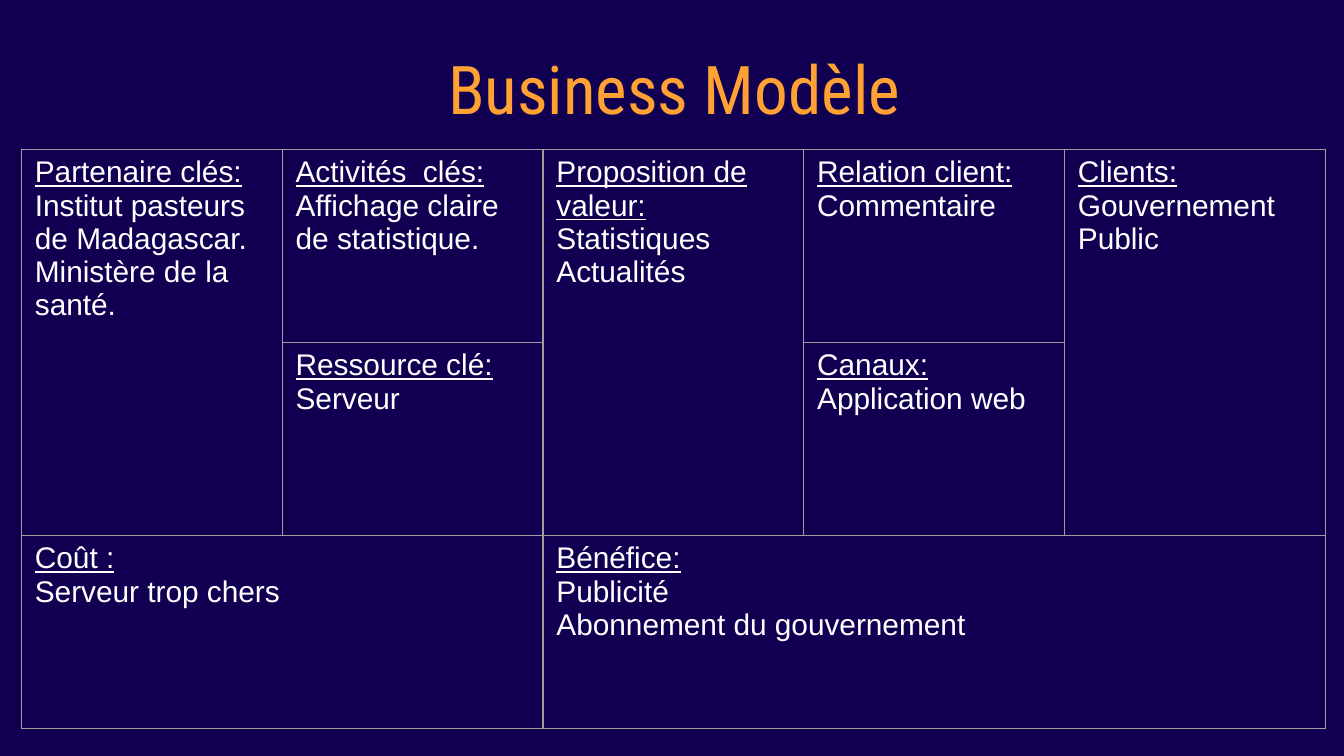
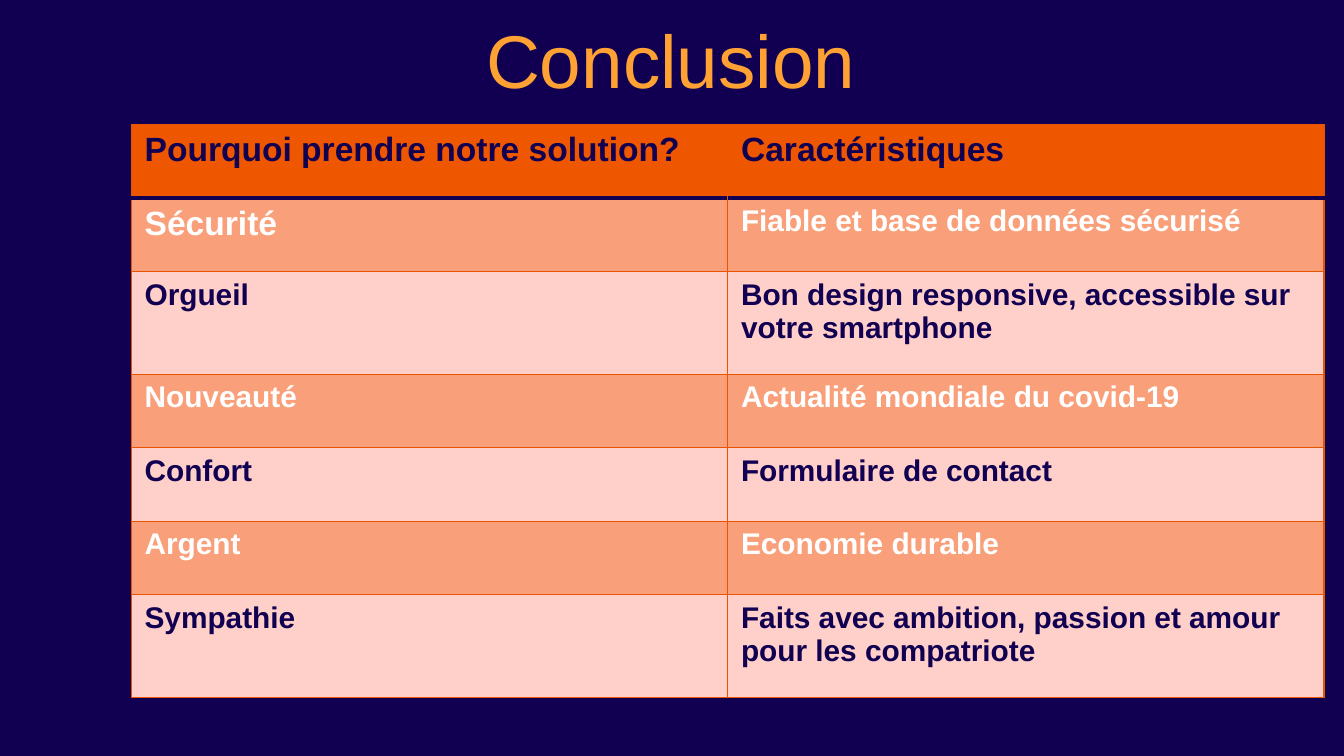
from lxml.etree import SubElement
from pptx import Presentation
from pptx.dml.color import RGBColor
from pptx.enum.text import MSO_ANCHOR, PP_ALIGN
from pptx.oxml.ns import qn
from pptx.util import Pt

# Content
CANVAS_TITLE = "Business Modèle"
# (row, column, rows spanned, columns spanned, heading, entries)
CANVAS_BLOCKS = [
    (0, 0, 2, 1, "Partenaire clés:",
     ["Institut pasteurs de Madagascar.", "Ministère de la santé."]),
    (0, 1, 1, 1, "Activités  clés:", ["Affichage claire de statistique."]),
    (0, 2, 2, 1, "Proposition de valeur:", ["Statistiques", "Actualités"]),
    (0, 3, 1, 1, "Relation client:", ["Commentaire"]),
    (0, 4, 2, 1, "Clients:", ["Gouvernement", "Public"]),
    (1, 1, 1, 1, "Ressource clé:", ["Serveur"]),
    (1, 3, 1, 1, "Canaux:", ["Application web"]),
    (2, 0, 1, 2, "Coût :", ["Serveur trop chers"]),
    (2, 2, 1, 3, "Bénéfice:", ["Publicité", "Abonnement du gouvernement"]),
]

CONCLUSION_TITLE = "Conclusion"
REASONS = [
    ("Pourquoi prendre notre solution?", "Caractéristiques"),
    ("Sécurité", "Fiable et base de données sécurisé"),
    ("Orgueil", "Bon design responsive, accessible sur votre smartphone"),
    ("Nouveauté", "Actualité mondiale du covid-19"),
    ("Confort", "Formulaire de contact"),
    ("Argent", "Economie durable"),
    ("Sympathie", "Faits avec ambition, passion et amour pour les compatriote"),
]

# Shared style, lengths in points
COLORS = {
    "navy": "110051", "title": "FFA233", "white": "FFFFFF", "grid": "9E9E9E",
    "header": "EE5600", "rule": "E95400", "dark_band": "F99F7A", "light_band": "FFCFC9",
}
BODY_FONT = "Arial"
ONE_LINE, TWO_LINES = 39.4, 55.1
TWO_LINE_ROWS = (2, 6)
SIDES = ("L", "R", "T", "B")


def rgb(name):
    return RGBColor.from_string(COLORS[name])


def style(paragraph, size, color, font=BODY_FONT, bold=False, underline=False):
    paragraph.font.name = font
    paragraph.font.size = Pt(size)
    paragraph.font.bold = bold
    paragraph.font.underline = underline
    paragraph.font.color.rgb = rgb(color)


def new_slide(deck):
    slide = deck.slides.add_slide(deck.slide_layouts[6])
    slide.background.fill.solid()
    slide.background.fill.fore_color.rgb = rgb("navy")
    return slide


def add_title(slide, title, box, size, font, align, anchor):
    frame = slide.shapes.add_textbox(*map(Pt, box)).text_frame
    frame.word_wrap = True
    frame.vertical_anchor = anchor
    frame.margin_top = frame.margin_bottom = Pt(7.2)
    heading = frame.paragraphs[0]
    heading.text = title
    heading.alignment = align
    style(heading, size, "title", font)


def add_grid(slide, left, top, widths, heights):
    grid = slide.shapes.add_table(
        len(heights), len(widths), Pt(left), Pt(top), Pt(sum(widths)), Pt(sum(heights))).table
    grid.first_row = grid.horz_banding = False
    for column, width in zip(grid.columns, widths):
        column.width = Pt(width)
    for row, height in zip(grid.rows, heights):
        row.height = Pt(height)
    return grid


def set_borders(cell, borders):
    """Draw the given sides, as side: (colour, width), in schema order."""
    properties = cell._tc.get_or_add_tcPr()
    for side in SIDES:
        line = SubElement(properties, qn(f"a:ln{side}"))
        if side not in borders:
            line.set("w", "0")
            SubElement(line, qn("a:noFill"))
            continue
        color, width = borders[side]
        line.set("w", str(Pt(width)))
        SubElement(SubElement(line, qn("a:solidFill")), qn("a:srgbClr"), val=COLORS[color])


def build_canvas(deck):
    slide = new_slide(deck)
    add_title(slide, CANVAS_TITLE, (75, 14.4, 572.4, 65.5), 36, "Roboto Condensed",
              PP_ALIGN.CENTER, MSO_ANCHOR.MIDDLE)
    grid = add_grid(slide, 11.5, 80, [139.7] * 5, [103.4] * 3)
    for cell in grid.iter_cells():
        set_borders(cell, dict.fromkeys(SIDES, ("grid", 0.75)))
        cell.fill.background()
    for row, column, row_span, column_span, heading, entries in CANVAS_BLOCKS:
        cell = grid.cell(row, column)
        if row_span * column_span > 1:
            cell.merge(grid.cell(row + row_span - 1, column + column_span - 1))
        cell.text = "\n".join([heading, *entries])
        for index, paragraph in enumerate(cell.text_frame.paragraphs):
            style(paragraph, 16, "white", underline=index == 0)


def build_conclusion(deck):
    slide = new_slide(deck)
    heights = [TWO_LINES if row in TWO_LINE_ROWS else ONE_LINE for row in range(len(REASONS))]
    grid = add_grid(slide, 70.3, 66.7, [319.5] * 2, heights)
    for row, reason in enumerate(REASONS):
        if row == 0:
            fill, color = "header", "navy"
        elif row % 2:
            fill, color = "dark_band", "white"
        else:
            fill, color = "light_band", "navy"
        for column, wording in enumerate(reason):
            cell = grid.cell(row, column)
            borders = dict.fromkeys(SIDES, ("rule", 0.75))
            if row == 0:
                borders["B"] = ("navy", 2)
                del borders["L" if column else "R"]
            elif row == 1:
                borders["T"] = ("navy", 2)
            set_borders(cell, borders)
            cell.fill.solid()
            cell.fill.fore_color.rgb = rgb(fill)
            cell.text = wording
            large = row == 0 or (row, column) == (1, 0)
            style(cell.text_frame.paragraphs[0], 18 if large else 16, color, bold=True)
    add_title(slide, CONCLUSION_TITLE, (253.4, 0, 341.3, 55.4), 40, BODY_FONT,
              PP_ALIGN.LEFT, MSO_ANCHOR.TOP)


def main():
    deck = Presentation()
    deck.slide_width, deck.slide_height = Pt(720), Pt(405)
    build_canvas(deck)
    build_conclusion(deck)
    deck.save("out.pptx")


if __name__ == "__main__":
    main()
